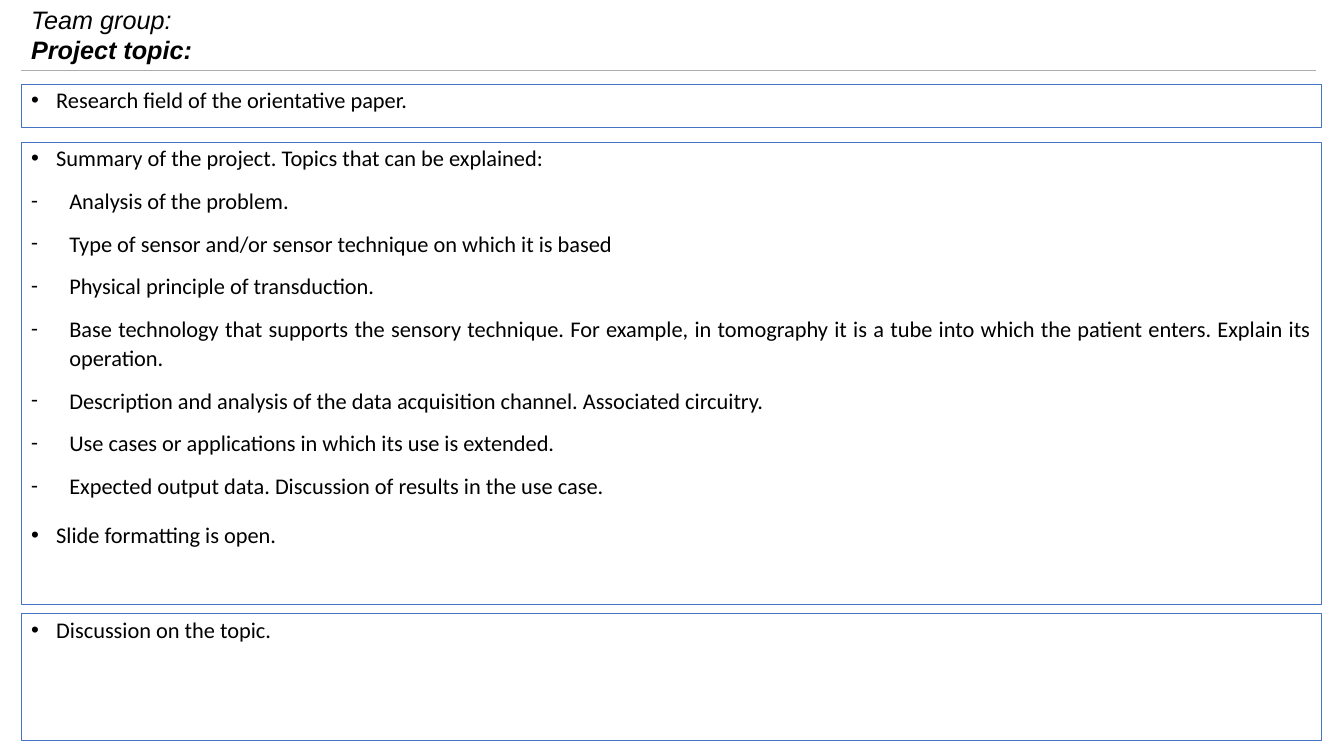
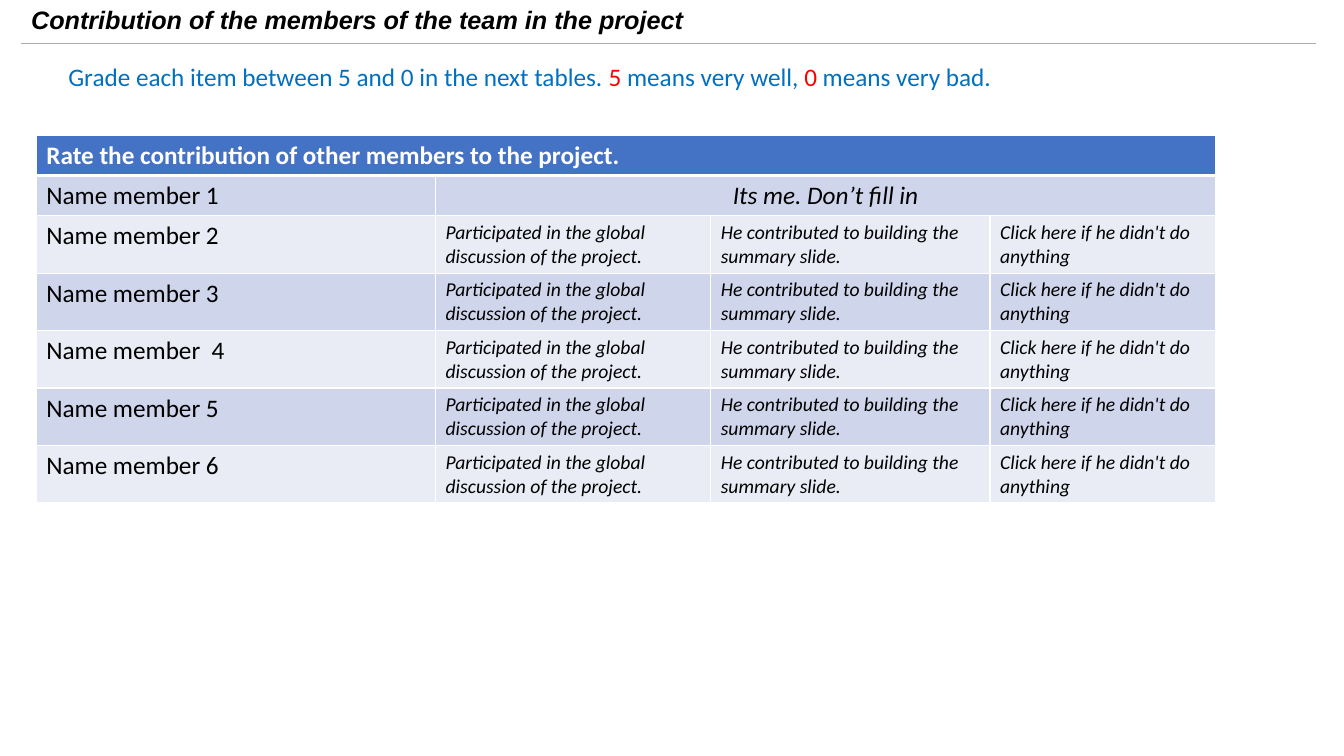
from typing import NamedTuple

from lxml.etree import SubElement
from pptx import Presentation
from pptx.dml.color import RGBColor
from pptx.enum.shapes import MSO_CONNECTOR, MSO_SHAPE
from pptx.enum.text import MSO_ANCHOR, PP_ALIGN
from pptx.oxml.ns import qn
from pptx.util import Emu, Pt

PX = 9144  # EMU per px, 100 px to the inch
COLORS = {
    "black": "000000", "white": "FFFFFF", "rule": "AFABAB", "accent": "4472C4",
    "band_dark": "CFD5EA", "band_light": "E9EBF5", "note": "0070C0", "grade": "FF0000",
}
LEFT = 21


class Run(NamedTuple):
    text: str
    size: int = 16
    color: str = "black"
    bold: bool = False
    italic: bool = False
    font: str = "Calibri"


class Bullet(NamedTuple):
    char: str
    font: str
    indent: int
    spacing: float
    align: PP_ALIGN


class Item(NamedTuple):
    text: str
    bullet: Bullet
    after: int = 0


class Panel(NamedTuple):
    top: int
    height: int
    items: list[Item]


DOT = Bullet("•", "Arial", 25, 0.9, PP_ALIGN.LEFT)
DASH = Bullet("-", "Calibri", 38, 1.07, PP_ALIGN.JUSTIFY)

PANELS = [
    Panel(84, 43, [Item("Research field of the orientative paper.", DOT)]),
    Panel(141, 459, [
        Item("Summary of the project. Topics that can be explained:", DOT),
        Item("Analysis of the problem.", DASH),
        Item("Type of sensor and/or sensor technique on which it is based", DASH),
        Item("Physical principle of transduction.", DASH),
        Item("Base technology that supports the sensory technique. For example, in "
             "tomography it is a tube into which the patient enters. Explain its operation.", DASH),
        Item("Description and analysis of the data acquisition channel. Associated circuitry.", DASH),
        Item("Use cases or applications in which its use is extended.", DASH),
        Item("Expected output data. Discussion of results in the use case.", DASH, after=8),
        Item("Slide formatting is open.", DOT),
    ]),
    Panel(609, 126, [Item("Discussion on the topic.", DOT)]),
]

TABLE_TITLE = "Rate the contribution of other members to the project."
MEMBERS = ["Name member 1", "Name member 2", "Name member 3",
           "Name member  4", "Name member 5", "Name member 6"]
RATINGS = ["Participated in the global discussion of the project.",
           "He contributed to building the summary slide.",
           "Click here if he didn't do anything"]
COL_WIDTHS = [396, 273, 277, 224]


def px(*lengths: int) -> list[Emu]:
    return [Emu(n * PX) for n in lengths]


def rgb(name: str) -> RGBColor:
    return RGBColor.from_string(COLORS[name])


def add_run(p, run: Run) -> None:
    r = p.add_run()
    r.text = run.text
    r.font.size = Pt(run.size)
    r.font.name = run.font
    r.font.bold = run.bold
    r.font.italic = run.italic
    r.font.color.rgb = rgb(run.color)


def add_text(s, left: int, top: int, width: int, height: int, lines: list[list[Run]]) -> None:
    tf = s.shapes.add_textbox(*px(left, top, width, height)).text_frame
    tf.word_wrap = True
    for i, runs in enumerate(lines):
        p = tf.add_paragraph() if i else tf.paragraphs[0]
        for run in runs:
            add_run(p, run)


def add_title(s, lines: list[Run], height: int, rule_y: int) -> None:
    """Draw the title lines and the thin rule below them."""
    rule = s.shapes.add_connector(MSO_CONNECTOR.STRAIGHT, *px(LEFT, rule_y, 1305, rule_y))
    rule.line.color.rgb = rgb("rule")
    rule.line.width = Pt(0.25)
    SubElement(rule.element.spPr, qn("a:effectLst"))
    add_text(s, LEFT, -1, 1259, height, [[line] for line in lines])


def title_run(text: str, bold: bool = True) -> Run:
    return Run(text, 18, bold=bold, italic=True, font="Arial")


def set_bullet(p, bullet: Bullet) -> None:
    pPr = p._p.get_or_add_pPr()
    pPr.set("marL", str(bullet.indent * PX))
    pPr.set("indent", str(-bullet.indent * PX))
    SubElement(pPr, qn("a:buFont"), typeface=bullet.font)
    SubElement(pPr, qn("a:buChar"), char=bullet.char)
    p.alignment = bullet.align
    p.line_spacing = bullet.spacing


def add_panel(s, panel: Panel) -> None:
    sp = s.shapes.add_shape(MSO_SHAPE.RECTANGLE, *px(LEFT, panel.top, 1290, panel.height))
    sp.shadow.inherit = False
    sp.fill.background()
    sp.line.color.rgb = rgb("accent")
    sp.line.width = Pt(0.75)
    tf = sp.text_frame
    tf.word_wrap = True
    tf.vertical_anchor = MSO_ANCHOR.TOP
    for i, item in enumerate(panel.items):
        p = tf.add_paragraph() if i else tf.paragraphs[0]
        set_bullet(p, item.bullet)
        if i:
            p.space_before = Pt(10)
        if item.after:
            p.space_after = Pt(item.after)
        add_run(p, Run(item.text))


def style_cell(cell, fill: str, top: int, bottom: int) -> None:
    """Set white borders, the top and bottom widths in points, and the fill."""
    tcPr = cell._tc.get_or_add_tcPr()
    for side, width in {"L": 1, "R": 1, "T": top, "B": bottom}.items():
        ln = SubElement(tcPr, qn(f"a:ln{side}"), w=str(Pt(width)))
        SubElement(SubElement(ln, qn("a:solidFill")), qn("a:srgbClr"), val=COLORS["white"])
    cell.fill.solid()
    cell.fill.fore_color.rgb = rgb(fill)


def add_rating_table(s) -> None:
    heights = [40, 40] + [57] * (len(MEMBERS) - 1)
    table = s.shapes.add_table(len(heights), len(COL_WIDTHS),
                               *px(36, 134, sum(COL_WIDTHS), sum(heights))).table
    for column, width in zip(table.columns, px(*COL_WIDTHS)):
        column.width = width
    for i, height in enumerate(px(*heights)):
        table.rows[i].height = height
        fill = "accent" if i == 0 else "band_dark" if i % 2 else "band_light"
        for cell in table.rows[i].cells:
            style_cell(cell, fill, top=3 if i == 1 else 1, bottom=3 if i == 0 else 1)

    table.cell(0, 0).merge(table.cell(0, 3))
    add_run(table.cell(0, 0).text_frame.paragraphs[0], Run(TABLE_TITLE, 18, "white", bold=True))
    for i, member in enumerate(MEMBERS, 1):
        add_run(table.cell(i, 0).text_frame.paragraphs[0], Run(member, 18))
        if i == 1:
            table.cell(1, 1).merge(table.cell(1, 3))
            p = table.cell(1, 1).text_frame.paragraphs[0]
            p.alignment = PP_ALIGN.CENTER
            add_run(p, Run("Its me. Don’t fill in", 18, italic=True))
            continue
        for j, rating in enumerate(RATINGS, 1):
            add_run(table.cell(i, j).text_frame.paragraphs[0], Run(rating, 14, italic=True))


def build_summary(s) -> None:
    add_title(s, [title_run("Team group:", bold=False), title_run("Project topic:")], 71, 70)
    for panel in PANELS:
        add_panel(s, panel)


def build_contribution(s) -> None:
    add_title(s, [title_run("Contribution of the members of the team in the project")], 40, 43)
    add_rating_table(s)
    add_text(s, 58, 56, 1007, 40, [[
        Run("Grade each item between 5 and 0 in the next tables. ", 18, "note"),
        Run("5", 18, "grade"),
        Run(" means very well, ", 18, "note"),
        Run("0", 18, "grade"),
        Run(" means very bad.", 18, "note"),
    ]])


def main() -> None:
    prs = Presentation()
    prs.slide_width, prs.slide_height = px(1333, 750)
    for build in (build_summary, build_contribution):
        build(prs.slides.add_slide(prs.slide_layouts[6]))
    prs.save("out.pptx")


if __name__ == "__main__":
    main()
